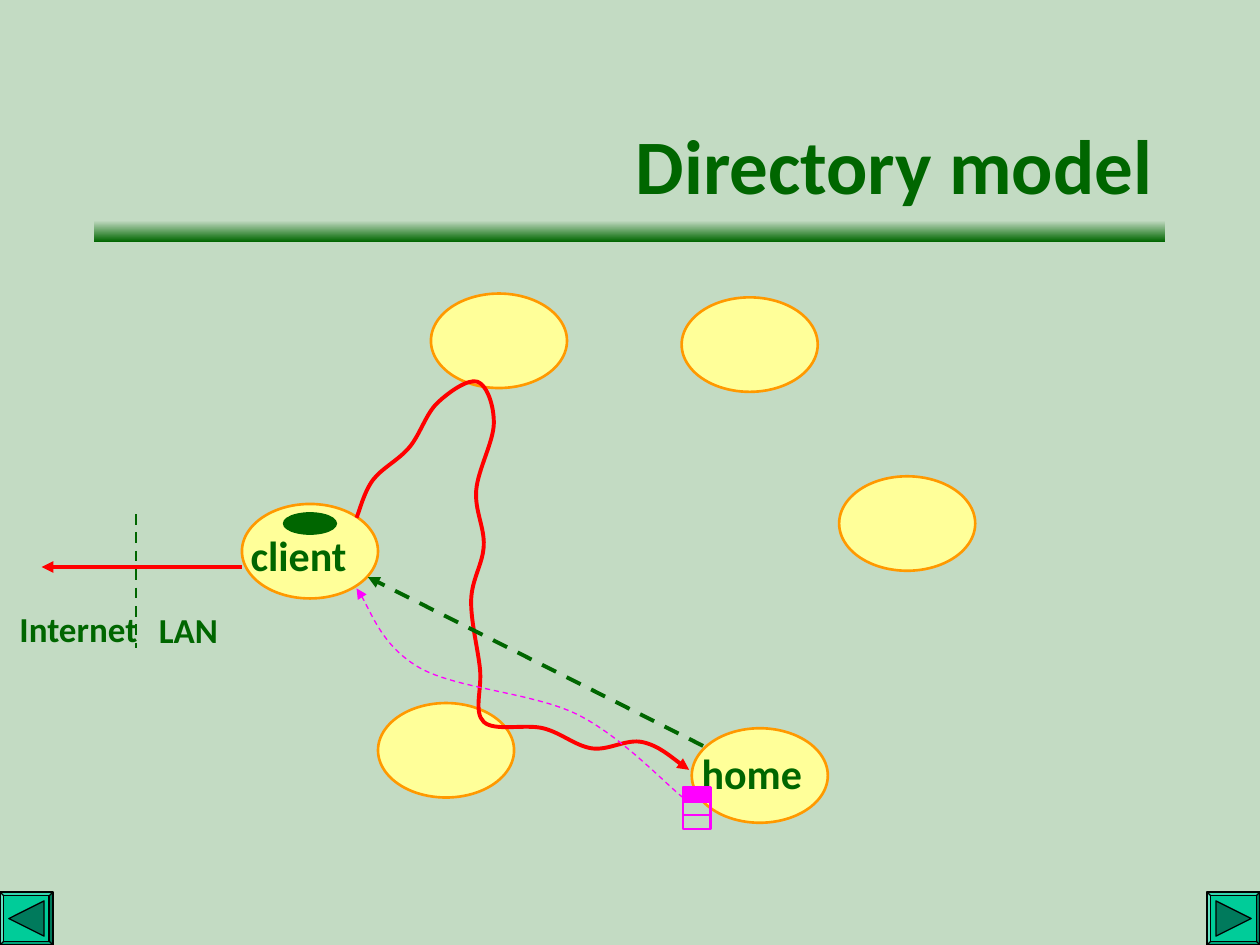
from dataclasses import dataclass
from typing import Optional

from lxml.etree import SubElement
from pptx import Presentation
from pptx.dml.color import RGBColor as RGB
from pptx.enum.dml import MSO_LINE as Dash
from pptx.enum.shapes import MSO_CONNECTOR as Connector, MSO_SHAPE as Preset
from pptx.enum.text import MSO_ANCHOR as Anchor, PP_ALIGN as Align
from pptx.oxml.ns import qn
from pptx.util import Inches, Pt

Point = tuple[float, float]


@dataclass(frozen=True)
class Theme:
    background: RGB = RGB.from_string("C3DBC3")
    green: RGB = RGB.from_string("006600")
    node: RGB = RGB.from_string("FFFF99")
    node_edge: RGB = RGB.from_string("FF9900")
    red: RGB = RGB.from_string("FF0000")
    magenta: RGB = RGB.from_string("FF00FF")
    button: RGB = RGB.from_string("00CC99")
    button_arrow: RGB = RGB.from_string("007A5C")
    black: RGB = RGB.from_string("000000")
    font: str = "Calibri"
    title_size: float = 44
    node_size: float = 24
    zone_size: float = 20


@dataclass(frozen=True)
class Box:
    left: float
    top: float
    width: float
    height: float

    def lengths(self) -> list:
        return [Inches(value) for value in (self.left, self.top, self.width, self.height)]

    def inset(self, gap: float) -> "Box":
        return Box(self.left + gap, self.top + gap, self.width - 2 * gap, self.height - 2 * gap)


@dataclass(frozen=True)
class Stroke:
    color: RGB
    width: float
    dashed: bool = False
    arrow: bool = False


@dataclass(frozen=True)
class Label:
    text: str
    box: Box
    size: float
    align: Align = Align.LEFT
    space_before: float = 0
    wrap: bool = False
    anchor: Anchor = Anchor.TOP


@dataclass(frozen=True)
class Button:
    left: float
    rotation: float


THEME = Theme()
SLIDE_WIDTH, SLIDE_HEIGHT = 10, 7.5
NODE_EDGE = Stroke(THEME.node_edge, 1.5)
CACHE_EDGE = Stroke(THEME.green, 0.75)
TABLE_EDGE = Stroke(THEME.magenta, 1.5)
BUTTON_EDGE = Stroke(THEME.black, 0.75)
REQUEST = Stroke(THEME.red, 2.25, arrow=True)
REPLY = Stroke(THEME.green, 2.25, dashed=True, arrow=True)
UPDATE = Stroke(THEME.magenta, 0.75, dashed=True, arrow=True)
BOUNDARY = Stroke(THEME.green, 1.5, dashed=True)

TITLE_BAR = Box(0.75, 1.75, 8.5, 0.17)
CACHE = Box(2.25, 4.07, 0.42, 0.17)
TABLE = Box(5.42, 6.25, 0.22, 0.33)
TABLE_ROWS = 3
NODE_WIDTH, NODE_HEIGHT = 1.08, 0.75
NODE_CORNERS = [(1.92, 4), (5.49, 5.78), (3.42, 2.33), (5.41, 2.36), (3, 5.58), (6.66, 3.78)]
REQUEST_KNOTS = [
    (2.83, 4.11), (2.96, 3.81), (3.25, 3.55), (3.47, 3.2), (3.79, 3.03),
    (3.92, 3.36), (3.78, 3.89), (3.84, 4.33), (3.74, 4.76), (3.81, 5.31),
    (3.84, 5.73), (4.31, 5.78), (4.7, 5.94), (5.1, 5.89), (5.47, 6.11),
]
UPDATE_KNOTS = [(5.42, 6.33), (4.58, 5.67), (3.33, 5.3), (2.83, 4.67)]

BUTTON_SIDE, BUTTON_BEVEL, BUTTON_MARGIN = 0.42, 0.03, 0.07
BUTTONS = [Button(SLIDE_WIDTH - BUTTON_SIDE, 90), Button(0, 270)]

LABELS = [
    Label("Directory model", Box(0.75, 0.67, 8.5, 1.25), THEME.title_size,
          Align.RIGHT, wrap=True, anchor=Anchor.MIDDLE),
    Label("client", Box(1.89, 4.15, 1.13, 0.5), THEME.node_size),
    Label("home", Box(5.47, 5.88, 1.15, 0.5), THEME.node_size),
    Label("Internet", Box(-0.18, 4.77, 1.37, 0.44), THEME.zone_size, Align.RIGHT, 12.5),
    Label("LAN", Box(1.06, 4.78, 0.77, 0.44), THEME.zone_size, Align.RIGHT, 12.5),
]


def apply_stroke(shape, stroke: Stroke) -> None:
    line = shape.line
    line.color.rgb = stroke.color
    line.width = Pt(stroke.width)
    if stroke.dashed:
        line.dash_style = Dash.DASH
    if stroke.arrow:
        outline = shape._element.spPr.find(qn("a:ln"))
        SubElement(outline, qn("a:tailEnd"), type="triangle")


def add_preset(slide, preset: Preset, box: Box, fill: Optional[RGB], stroke: Stroke):
    shape = slide.shapes.add_shape(preset, *box.lengths())
    shape.shadow.inherit = False
    if fill is None:
        shape.fill.background()
    else:
        shape.fill.solid()
        shape.fill.fore_color.rgb = fill
    apply_stroke(shape, stroke)
    return shape


def add_line(slide, start: Point, end: Point, stroke: Stroke) -> None:
    ends = [Inches(value) for value in (*start, *end)]
    connector = slide.shapes.add_connector(Connector.STRAIGHT, *ends)
    apply_stroke(connector, stroke)
    SubElement(connector._element.spPr, qn("a:effectLst"))


def offset(point: Point, before: Point, after: Point, share: float) -> Point:
    return (point[0] + (after[0] - before[0]) * share, point[1] + (after[1] - before[1]) * share)


def bezier_points(knots: list[Point]) -> list[Point]:
    padded = [knots[0], *knots, knots[-1]]
    points = []
    for before, start, end, after in zip(padded, padded[1:], padded[2:], padded[3:]):
        points += [offset(start, before, end, 1 / 6), offset(end, start, after, -1 / 6), end]
    return points


def merge_into_beziers(shape) -> None:
    segments = list(shape._element.iter(qn("a:lnTo")))
    for triple in zip(segments[::3], segments[1::3], segments[2::3]):
        outline = triple[0].getparent()
        bezier = SubElement(outline, qn("a:cubicBezTo"))
        for segment in triple:
            bezier.append(segment[0])
            outline.remove(segment)


def add_curve(slide, knots: list[Point], stroke: Stroke) -> None:
    builder = slide.shapes.build_freeform(*map(Inches, knots[0]))
    points = [(Inches(x), Inches(y)) for x, y in bezier_points(knots)]
    builder.add_line_segments(points, close=False)
    shape = builder.convert_to_shape()
    merge_into_beziers(shape)
    shape.shadow.inherit = False
    shape.fill.background()
    apply_stroke(shape, stroke)


def add_label(slide, label: Label) -> None:
    frame = slide.shapes.add_textbox(*label.box.lengths()).text_frame
    frame.word_wrap = label.wrap
    frame.vertical_anchor = label.anchor
    paragraph = frame.paragraphs[0]
    paragraph.text = label.text
    paragraph.alignment = label.align
    paragraph.space_before = Pt(label.space_before)
    font = paragraph.font
    font.name, font.size, font.bold = THEME.font, Pt(label.size), True
    font.color.rgb = THEME.green


def add_title_bar(slide) -> None:
    bar = slide.shapes.add_shape(Preset.RECTANGLE, *TITLE_BAR.lengths())
    bar.shadow.inherit = False
    bar.line.fill.background()
    bar.fill.gradient()
    bar.fill.gradient_angle = 270
    for stop, color in zip(bar.fill.gradient_stops, (THEME.background, THEME.green)):
        stop.color.rgb = color


def add_directory_table(slide) -> None:
    row_height = TABLE.height / TABLE_ROWS
    add_preset(slide, Preset.RECTANGLE, TABLE, None, TABLE_EDGE)
    for row in range(1, TABLE_ROWS):
        y = TABLE.top + row * row_height
        add_line(slide, (TABLE.left, y), (TABLE.left + TABLE.width, y), TABLE_EDGE)
    header = Box(TABLE.left, TABLE.top, TABLE.width, row_height)
    add_preset(slide, Preset.RECTANGLE, header, THEME.magenta, TABLE_EDGE)


def add_button(slide, button: Button) -> None:
    box = Box(button.left, SLIDE_HEIGHT - BUTTON_SIDE, BUTTON_SIDE, BUTTON_SIDE)
    frame = add_preset(slide, Preset.BEVEL, box, THEME.button, BUTTON_EDGE)
    frame.adjustments[0] = BUTTON_BEVEL / BUTTON_SIDE
    arrow = add_preset(slide, Preset.ISOSCELES_TRIANGLE, box.inset(BUTTON_MARGIN),
                       THEME.button_arrow, BUTTON_EDGE)
    arrow.rotation = button.rotation


def main() -> None:
    presentation = Presentation()
    presentation.slide_width, presentation.slide_height = Inches(SLIDE_WIDTH), Inches(SLIDE_HEIGHT)
    slide = presentation.slides.add_slide(presentation.slide_layouts[6])
    slide.background.fill.solid()
    slide.background.fill.fore_color.rgb = THEME.background

    add_title_bar(slide)
    for left, top in NODE_CORNERS:
        add_preset(slide, Preset.OVAL, Box(left, top, NODE_WIDTH, NODE_HEIGHT), THEME.node, NODE_EDGE)
    add_curve(slide, REQUEST_KNOTS, REQUEST)
    add_line(slide, (1.08, 4.08), (1.08, 5.14), BOUNDARY)
    for label in LABELS:
        add_label(slide, label)
    add_preset(slide, Preset.OVAL, CACHE, THEME.green, CACHE_EDGE)
    add_line(slide, (5.58, 5.92), (2.92, 4.58), REPLY)
    add_line(slide, (1.92, 4.5), (0.33, 4.5), REQUEST)
    add_directory_table(slide)
    add_curve(slide, UPDATE_KNOTS, UPDATE)
    for button in BUTTONS:
        add_button(slide, button)
    presentation.save("out.pptx")


if __name__ == "__main__":
    main()
